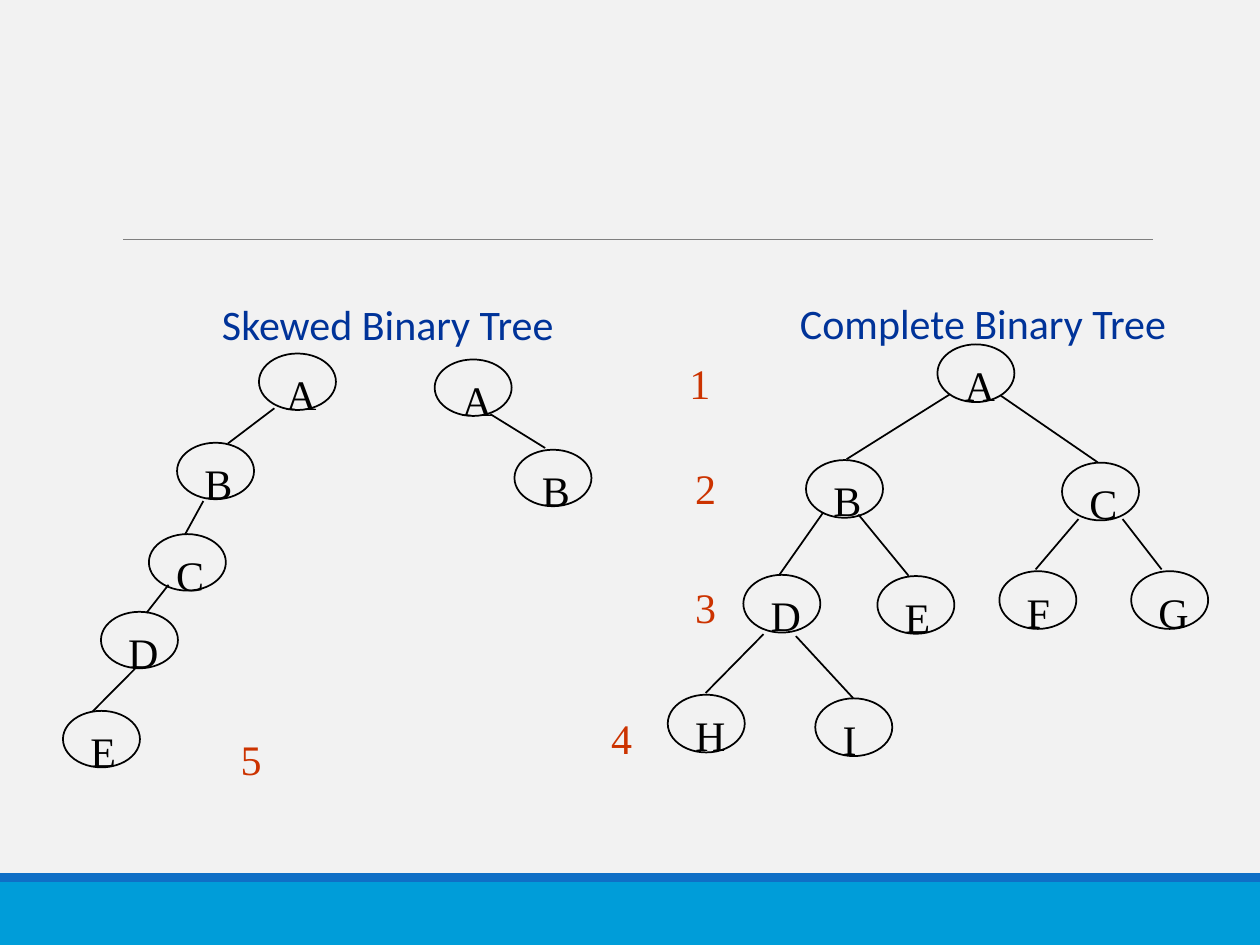
from lxml.etree import SubElement
from pptx import Presentation
from pptx.dml.color import RGBColor
from pptx.enum.shapes import MSO_CONNECTOR as Connector, MSO_SHAPE as Shape
from pptx.enum.text import PP_ALIGN as Align
from pptx.oxml.ns import qn
from pptx.util import Pt

BACKGROUND = RGBColor(0xF2, 0xF2, 0xF2)
RULE_GRAY = RGBColor(0x7F, 0x7F, 0x7F)
FOOTER_BLUE = RGBColor(0x00, 0x9D, 0xD9)
STRIPE_BLUE = RGBColor(0x0F, 0x6F, 0xC6)
BLACK = RGBColor(0, 0, 0)
HEADING_BLUE = RGBColor(0x00, 0x33, 0x99)
LEVEL_RED = RGBColor(0xCC, 0x33, 0x00)

SERIF = "Times New Roman"
SANS = "Calibri"
NODE_WIDTH = 44
LABEL_HEIGHT = 27.2
LABEL_WIDTHS = {"B": 30.2, "C": 30.6, "E": 29, "F": 28, "I": 22.5}
WIDE_LABEL = 31.8

# Nodes are (letter, left, top); edges are (x1, y1, x2, y2).
COMPLETE_NODES = [
    ("A", 535.7, 196.8),
    ("B", 460.6, 262.9), ("C", 606.9, 264.4),
    ("D", 424.8, 328.5), ("E", 501.4, 329.2),
    ("F", 571.1, 326.4), ("G", 646.4, 326.4),
    ("H", 381.6, 397), ("I", 465.9, 399.1),
]
COMPLETE_EDGES = [
    (542.7, 225.4, 483.8, 262.4), (571.9, 226.1, 627.3, 264.2),
    (470.3, 293, 445.5, 328.3), (490.5, 294, 519.2, 329),
    (616.3, 296.6, 591.8, 325.4), (641.5, 296.6, 663.8, 325.4),
    (436.3, 362.4, 403.2, 396), (454.8, 363.5, 487.5, 398.9),
]
SKEWED_NODES = [
    ("A", 148, 202), ("B", 101.2, 253), ("C", 85.1, 305.2),
    ("D", 57.7, 349.6), ("E", 36, 406.2),
    ("A", 248.4, 205.4), ("B", 294, 257),
]
SKEWED_EDGES = [
    (156.8, 233.3, 130.3, 253.4), (116.2, 286.3, 105.8, 305.3),
    (96.3, 334.2, 83.7, 350.3), (77.2, 382.1, 52.9, 406.6),
    (280.3, 236.7, 311.5, 256),
]
LEVELS = [
    ("1", 386.7, 201, Align.CENTER), ("2", 390.2, 260.6, Align.LEFT),
    ("3", 390.2, 328.6, Align.LEFT), ("4", 342.2, 403.5, Align.LEFT),
    ("5", 130.4, 415.5, Align.LEFT),
]


def add_line(slide, x1, y1, x2, y2, color=BLACK, width=1):
    line = slide.shapes.add_connector(
        Connector.STRAIGHT, Pt(x1), Pt(y1), Pt(x2), Pt(y2))
    line.line.color.rgb = color
    line.line.width = Pt(width)
    SubElement(line._element.spPr, qn("a:effectLst"))


def add_band(slide, top, height, color):
    band = slide.shapes.add_shape(Shape.RECTANGLE, 0, Pt(top), Pt(720), Pt(height))
    band.shadow.inherit = False
    band.fill.solid()
    band.fill.fore_color.rgb = color
    band.line.fill.background()


def add_label(slide, text, left, top, width, font=SERIF, color=BLACK, align=Align.LEFT):
    label = slide.shapes.add_textbox(Pt(left), Pt(top), Pt(width), Pt(LABEL_HEIGHT))
    label.text_frame.word_wrap = False
    paragraph = label.text_frame.paragraphs[0]
    paragraph.alignment = align
    run = paragraph.add_run()
    run.text = text
    run.font.name = font
    run.font.size = Pt(24)
    run.font.color.rgb = color


def add_node(slide, letter, left, top, height):
    """Draw an outlined ellipse with its letter low and right of centre."""
    node = slide.shapes.add_shape(
        Shape.OVAL, Pt(left), Pt(top), Pt(NODE_WIDTH), Pt(height))
    node.shadow.inherit = False
    node.fill.background()
    node.line.color.rgb = BLACK
    node.line.width = Pt(1)
    add_label(slide, letter, left + 8.5, top + 5,
              LABEL_WIDTHS.get(letter, WIDE_LABEL))


def add_tree(slide, nodes, edges, node_height):
    for letter, left, top in nodes:
        add_node(slide, letter, left, top, node_height)
    for edge in edges:
        add_line(slide, *edge)


def main():
    prs = Presentation()
    prs.slide_width, prs.slide_height = Pt(720), Pt(540)
    slide = prs.slides.add_slide(prs.slide_layouts[6])
    slide.background.fill.solid()
    slide.background.fill.fore_color.rgb = BACKGROUND

    add_line(slide, 70.5, 136.8, 658.8, 136.8, RULE_GRAY, 0.75)
    add_band(slide, 504, 36, FOOTER_BLUE)
    add_band(slide, 499, 5, STRIPE_BLUE)

    add_tree(slide, COMPLETE_NODES, COMPLETE_EDGES, 33)
    add_label(slide, "Complete Binary Tree", 450, 166.4, 229, SANS, HEADING_BLUE)
    add_tree(slide, SKEWED_NODES, SKEWED_EDGES, 32.3)
    add_label(slide, "Skewed Binary Tree", 119.8, 167, 211.7, SANS, HEADING_BLUE)
    for number, left, top, align in LEVELS:
        add_label(slide, number, left, top, 26.6, color=LEVEL_RED, align=align)

    prs.save("out.pptx")


if __name__ == "__main__":
    main()
